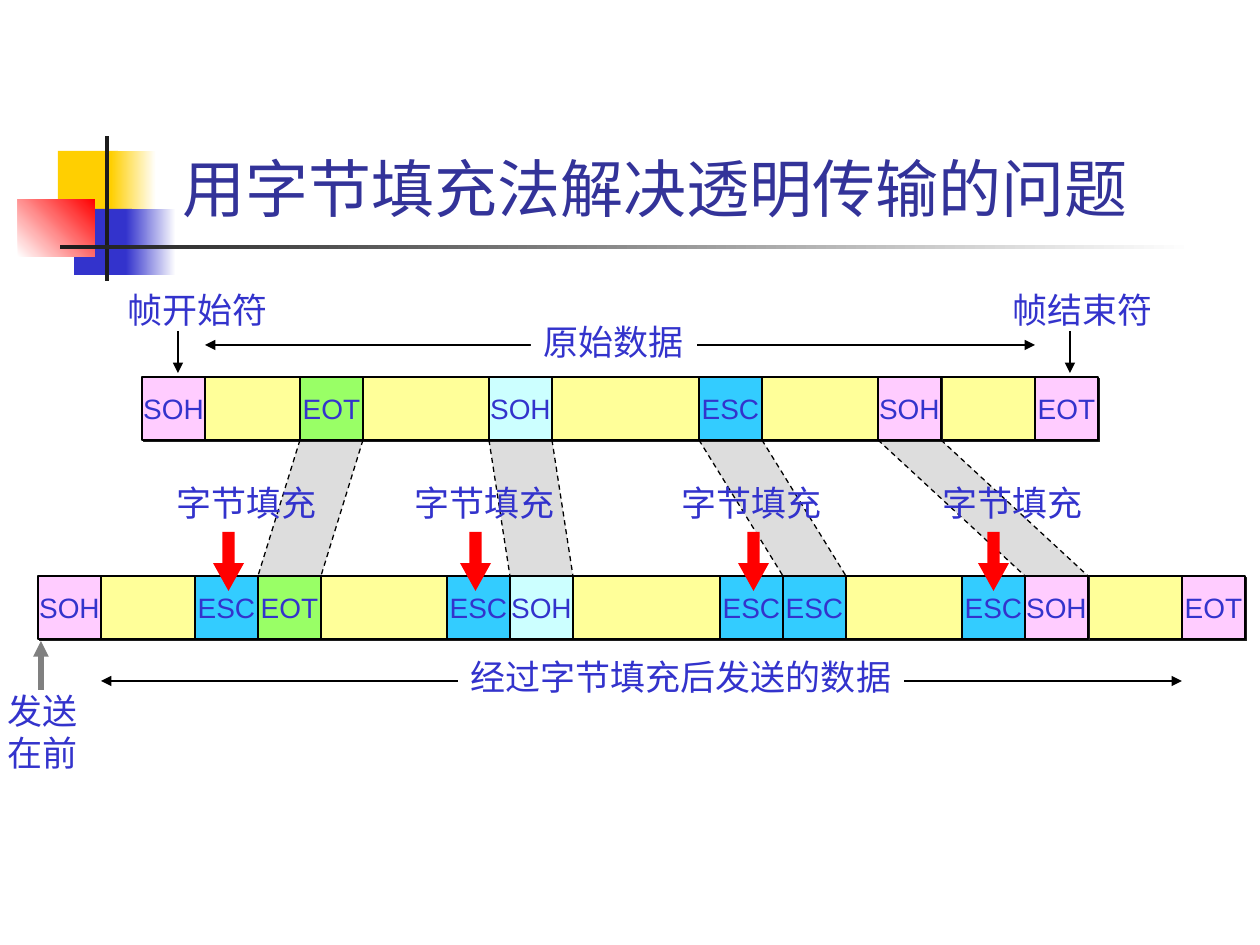
import dataclasses

import lxml.etree
import pptx
import pptx.dml.color
import pptx.enum.dml
import pptx.enum.shapes
import pptx.enum.text
import pptx.oxml.ns
import pptx.util

EMU_PER_PX = 914400 / 126
CELL = 63
TOP_ROW, BOTTOM_ROW = 377, 576
LABEL_WIDTH, LABEL_HEIGHT = 166, 55
RECTANGLE = pptx.enum.shapes.MSO_SHAPE.RECTANGLE
DOWN_ARROW = pptx.enum.shapes.MSO_SHAPE.DOWN_ARROW


@dataclasses.dataclass(frozen=True)
class Theme:
    font: str = "Arial"
    title_size: int = 36
    label_size: int = 20
    cell_size: int = 16
    hairline: float = 0.75
    thick_line: float = 3
    title: str = "333399"
    text: str = "3333CC"
    white: str = "FFFFFF"
    black: str = "000000"
    dark: str = "1C1C1C"
    gold: str = "FFCF01"
    red: str = "FF0000"
    grey: str = "808080"
    band: str = "DDDDDD"
    data: str = "FFFF99"
    frame: str = "FFCCFF"
    eot: str = "99FF66"
    soh: str = "CCFFFF"
    esc: str = "33CCFF"


THEME = Theme()


def px(length):
    return pptx.util.Emu(round(length * EMU_PER_PX))


def rgb(colour):
    return pptx.dml.color.RGBColor.from_string(colour)


def add_xml(parent, tag, **attributes):
    return lxml.etree.SubElement(parent, pptx.oxml.ns.qn(tag), attributes)


def style_font(paragraph, size, colour):
    paragraph.font.name = THEME.font
    paragraph.font.size = pptx.util.Pt(size)
    paragraph.font.color.rgb = rgb(colour)


def add_block(slide, box, colour, preset=RECTANGLE):
    shape = slide.shapes.add_shape(preset, *map(px, box))
    shape.shadow.inherit = False
    shape.fill.solid()
    shape.fill.fore_color.rgb = rgb(colour)
    shape.line.fill.background()
    return shape


def add_gradient(slide, box, start, end, angle=0):
    fill = add_block(slide, box, start).fill
    fill.gradient()
    fill.gradient_angle = angle
    for stop, colour in zip(fill.gradient_stops, (start, end)):
        stop.color.rgb = rgb(colour)


def add_shadow(shape):
    effects = shape.element.spPr.find(pptx.oxml.ns.qn("a:effectLst"))
    shadow = add_xml(effects, "a:outerShdw", dist="17780", dir="2700000",
                     algn="ctr", rotWithShape="0")
    add_xml(shadow, "a:srgbClr", val=THEME.dark)


def add_cell(slide, x, y, colour, text="", width=CELL):
    shape = add_block(slide, (x, y, width, CELL), colour)
    shape.line.color.rgb = rgb(THEME.black)
    shape.line.width = pptx.util.Pt(THEME.hairline)
    if colour in (THEME.frame, THEME.data):
        add_shadow(shape)
    if text:
        frame = shape.text_frame
        frame.word_wrap = False
        frame.vertical_anchor = pptx.enum.text.MSO_ANCHOR.MIDDLE
        paragraph = frame.paragraphs[0]
        paragraph.text = text
        paragraph.alignment = pptx.enum.text.PP_ALIGN.CENTER
        style_font(paragraph, THEME.cell_size, THEME.text)


def add_row(slide, y, start, end, cells):
    add_cell(slide, start, y, THEME.frame, "SOH")
    add_cell(slide, start + CELL, y, THEME.data, width=end - start - CELL)
    for x, text, colour in cells:
        add_cell(slide, x, y, colour, text)
    add_cell(slide, end, y, THEME.frame, "EOT")


def add_band(slide, top_x, bottom_x):
    top, bottom = TOP_ROW + CELL, BOTTOM_ROW
    corners = [(top_x, top), (top_x + CELL, top),
               (bottom_x + CELL, bottom), (bottom_x, bottom)]
    points = [(px(x), px(y)) for x, y in corners]
    builder = slide.shapes.build_freeform(*points[0])
    builder.add_line_segments(points[1:], close=True)
    shape = builder.convert_to_shape()
    shape.shadow.inherit = False
    shape.fill.solid()
    shape.fill.fore_color.rgb = rgb(THEME.band)
    shape.line.fill.background()


def add_line(slide, start, end, colour=THEME.black, width=THEME.hairline,
             dashed=False, arrows=()):
    connector = slide.shapes.add_connector(
        pptx.enum.shapes.MSO_CONNECTOR.STRAIGHT, *map(px, start + end))
    connector.line.color.rgb = rgb(colour)
    connector.line.width = pptx.util.Pt(width)
    if dashed:
        connector.line.dash_style = pptx.enum.dml.MSO_LINE.DASH
    properties = connector.element.spPr
    outline = properties.find(pptx.oxml.ns.qn("a:ln"))
    for arrow in arrows:
        add_xml(outline, arrow, type="triangle")
    add_xml(properties, "a:effectLst")


def add_label(slide, x, y, *lines, width=LABEL_WIDTH, height=LABEL_HEIGHT, filled=False):
    shape = slide.shapes.add_textbox(*map(px, (x, y, width, height)))
    if filled:
        shape.fill.solid()
        shape.fill.fore_color.rgb = rgb(THEME.white)
    frame = shape.text_frame
    frame.word_wrap = False
    frame.auto_size = pptx.enum.text.MSO_AUTO_SIZE.SHAPE_TO_FIT_TEXT
    frame.text = "\n".join(lines)
    for paragraph in frame.paragraphs:
        style_font(paragraph, THEME.label_size, THEME.text)


def add_title(slide, text):
    title = slide.shapes.title
    title.left, title.top, title.width, title.height = map(px, (159, 29, 1007, 202))
    frame = title.text_frame
    frame.text = text
    frame.auto_size = pptx.enum.text.MSO_AUTO_SIZE.NONE
    frame.vertical_anchor = pptx.enum.text.MSO_ANCHOR.BOTTOM
    paragraph = frame.paragraphs[0]
    paragraph.alignment = pptx.enum.text.PP_ALIGN.CENTER
    style_font(paragraph, THEME.title_size, THEME.title)


def add_decoration(slide):
    add_block(slide, (58, 151, 60, 66), THEME.gold)
    add_gradient(slide, (111, 151, 45, 66), THEME.gold, THEME.white)
    add_block(slide, (74, 209, 58, 66), THEME.text)
    add_gradient(slide, (126, 209, 50, 66), THEME.text, THEME.white)
    add_gradient(slide, (18, 199, 77, 58), THEME.white, THEME.red, 45)
    add_block(slide, (105, 136, 4, 145), THEME.dark)
    add_gradient(slide, (60, 245, 1134, 4), THEME.dark, THEME.white)


def main():
    presentation = pptx.Presentation()
    presentation.slide_width, presentation.slide_height = px(1260), px(945)
    slide = presentation.slides.add_slide(presentation.slide_layouts[5])
    add_title(slide, "用字节填充法解决透明传输的问题 ")
    add_decoration(slide)

    escaped = [
        (300, 258, "EOT", THEME.eot, 164, 213),
        (489, 510, "SOH", THEME.soh, 402, 460),
        (699, 783, "ESC", THEME.esc, 669, 738),
        (878, 1025, "SOH", THEME.frame, 930, 978),
    ]
    original_cells, sent_cells = [], []
    for top_x, bottom_x, text, colour, _, _ in escaped:
        add_band(slide, top_x, bottom_x)
        original_cells.append((top_x, text, colour))
        sent_cells += [(bottom_x - CELL, "ESC", THEME.esc), (bottom_x, text, colour)]
    add_row(slide, TOP_ROW, 142, 1035, original_cells)
    add_row(slide, BOTTOM_ROW, 38, 1182, sent_cells)

    for top_x, bottom_x, _, _, label_x, arrow_x in escaped:
        for side in (0, CELL):
            add_line(slide, (top_x + side, TOP_ROW + CELL),
                     (bottom_x + side, BOTTOM_ROW), dashed=True)
        add_label(slide, label_x, 475, "字节填充")
        arrow = add_block(slide, (arrow_x, 532, 31, 59), THEME.red, DOWN_ARROW)
        arrow.adjustments[0], arrow.adjustments[1] = 0.39, 0.9

    both_ends = ("a:headEnd", "a:tailEnd")
    add_line(slide, (205, 345), (1035, 345), arrows=both_ends)
    add_label(slide, 531, 314, "原始数据", filled=True)
    add_line(slide, (101, 681), (1182, 681), arrows=both_ends)
    add_label(slide, 458, 649, "经过字节填充后发送的数据", width=446, filled=True)

    for label_x, arrow_x, text in ((115, 178, "帧开始符"), (1000, 1070, "帧结束符")):
        add_line(slide, (arrow_x, 331), (arrow_x, 373), arrows=("a:tailEnd",))
        add_label(slide, label_x, 282, text)
    add_line(slide, (41, 690), (41, 641), THEME.grey, THEME.thick_line,
             arrows=("a:tailEnd",))
    add_label(slide, -5, 683, "发送", "在前", width=96, height=97)

    presentation.save("out.pptx")


if __name__ == "__main__":
    main()
